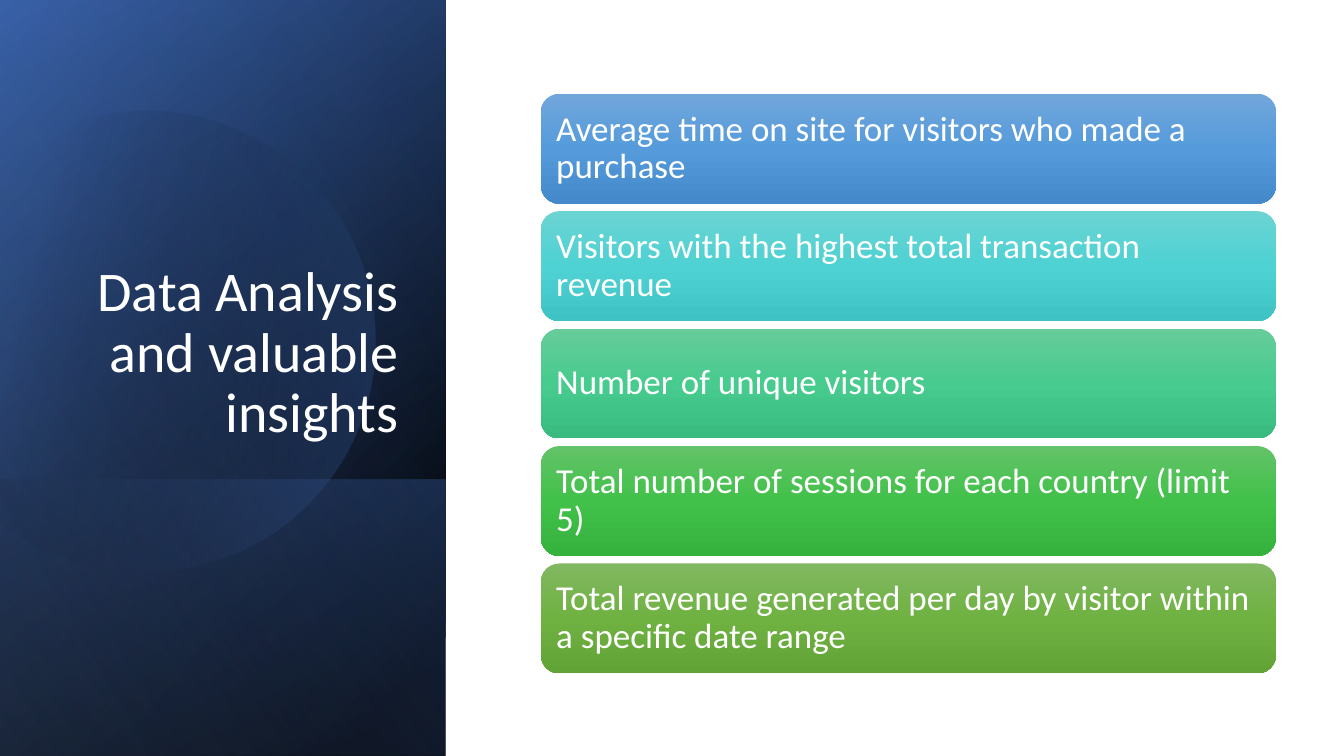
from math import cos, radians, sin

from lxml.etree import SubElement
from pptx import Presentation
from pptx.dml.color import RGBColor
from pptx.enum.shapes import MSO_SHAPE
from pptx.enum.text import MSO_ANCHOR, PP_ALIGN
from pptx.oxml.ns import qn
from pptx.util import Inches, Pt

THEME = {
    "font": "Calibri",
    "text": RGBColor(0xFF, 0xFF, 0xFF),
    "title_size": Pt(40),
    "card_size": Pt(25),
    "black": "000000",
    "navy": "2F5597",
    "blue": "4472C4",
    "pale_blue": "8FAADC",
    "cards": [
        ("71A6DB", "559BDB", "448ACA"),
        ("6CD3D3", "4ED2D3", "3EC2C3"),
        ("67CC9A", "47CB8E", "39BB7F"),
        ("63C368", "42C14A", "34B23D"),
        ("81B861", "6FB242", "62A336"),
    ],
}


def paint_gradient(shape, stops, angle):
    shape.shadow.inherit = False
    shape.line.fill.background()
    shape.fill.gradient()
    gradient = shape._element.spPr.find(qn("a:gradFill"))
    for child in list(gradient):
        gradient.remove(child)
    stop_list = SubElement(gradient, qn("a:gsLst"))
    for position, color, opacity in stops:
        stop = SubElement(stop_list, qn("a:gs"), pos=str(position * 1000))
        color_element = SubElement(stop, qn("a:srgbClr"), val=color)
        if opacity < 100:
            SubElement(color_element, qn("a:alpha"), val=str(opacity * 1000))
    SubElement(gradient, qn("a:lin"), ang=str(angle * 60000), scaled="0")


def write_text(shape, text, size, alignment, anchor):
    frame = shape.text_frame
    frame.word_wrap = True
    frame.vertical_anchor = anchor
    paragraph = frame.paragraphs[0]
    paragraph.alignment = alignment
    paragraph.line_spacing = 0.9
    run = paragraph.add_run()
    run.text = text
    run.font.name = THEME["font"]
    run.font.size = size
    run.font.color.rgb = THEME["text"]


presentation = Presentation()
presentation.slide_width = Inches(13.33)
presentation.slide_height = Inches(7.5)
slide = presentation.slides.add_slide(presentation.slide_layouts[6])

black, blue = THEME["black"], THEME["blue"]
panel_width = 4.42
panel_layers = [
    (0, 7.5, [(8, black, 100), (100, THEME["navy"], 100)], 50),
    (0, 7.5, [(0, black, 0), (99, blue, 46)], 30),
    (4.76, 2.74, [(2, blue, 29), (100, black, 30)], 130),
    (None, None, [(29, black, 0), (100, blue, 43)], 30),
    (0, 7.5, [(0, black, 0), (99, THEME["pale_blue"], 11)], 120),
]
disc_left, disc_top, disc_width, disc_height = -0.55, 1.06, 4.27, 4.57
disc_tilt = 16.1
disc_outline = [
    ("moveTo", [(1.49, 1.1)]),
    ("cubicBezTo", [(2.46, 1.12), (3.35, 1.77), (3.63, 2.75)]),
    ("cubicBezTo", [(3.98, 3.97), (3.28, 5.23), (2.07, 5.58)]),
    ("cubicBezTo", [(1.31, 5.8), (0.53, 5.61), (-0.03, 5.14)]),
    ("lnTo", [(-0.15, 5.03)]),
    ("lnTo", [(-0.15, 1.75)]),
    ("lnTo", [(0, 1.61)]),
    ("cubicBezTo", [(0.23, 1.42), (0.5, 1.28), (0.8, 1.19)]),
    ("cubicBezTo", [(1.03, 1.13), (1.26, 1.1), (1.49, 1.1)]),
]

for top, height, stops, angle in panel_layers:
    if top is None:
        builder = slide.shapes.build_freeform(0, 0)
        builder.add_line_segments([(Inches(disc_width), Inches(disc_height))])
        layer = builder.convert_to_shape(Inches(disc_left), Inches(disc_top))
        layer.rotation = -disc_tilt
        outline = layer._element.spPr.find(".//" + qn("a:path"))
        for child in list(outline):
            outline.remove(child)
        cosine, sine = cos(radians(disc_tilt)), sin(radians(disc_tilt))
        for command, points in disc_outline:
            segment = SubElement(outline, qn("a:" + command))
            for x, y in points:
                across = x - disc_left - disc_width / 2
                down = y - disc_top - disc_height / 2
                SubElement(
                    segment, qn("a:pt"),
                    x=str(Inches(disc_width / 2 + across * cosine - down * sine)),
                    y=str(Inches(disc_height / 2 + across * sine + down * cosine)),
                )
        SubElement(outline, qn("a:close"))
    else:
        layer = slide.shapes.add_shape(
            MSO_SHAPE.RECTANGLE,
            Inches((panel_width - height) / 2),
            Inches(top + (height - panel_width) / 2),
            Inches(height),
            Inches(panel_width),
        )
        layer.rotation = 90
        layer._element.spPr.find(qn("a:xfrm")).set("flipH", "1")
    paint_gradient(layer, stops, angle)

title = slide.shapes.add_textbox(Inches(0.64), Inches(1.84), Inches(3.41), Inches(2.62))
write_text(title, "Data Analysis and valuable insights", THEME["title_size"],
           PP_ALIGN.RIGHT, MSO_ANCHOR.BOTTOM)

insights = [
    "Average time on site for visitors who made a purchase",
    "Visitors with the highest total transaction revenue",
    "Number of unique visitors",
    "Total number of sessions for each country (limit 5)",
    "Total revenue generated per day by visitor within a specific date range",
]
first_top, last_top = 0.93, 5.59
card_pitch = (last_top - first_top) / (len(insights) - 1)

for index, (insight, colors) in enumerate(zip(insights, THEME["cards"])):
    card = slide.shapes.add_shape(
        MSO_SHAPE.ROUNDED_RECTANGLE,
        Inches(5.365), Inches(first_top + index * card_pitch), Inches(7.29), Inches(1.09),
    )
    paint_gradient(card, [(position, color, 100) for position, color in zip((0, 50, 100), colors)], 90)
    card.text_frame.margin_left = card.text_frame.margin_right = Inches(0.1)
    write_text(card, insight, THEME["card_size"], PP_ALIGN.LEFT, MSO_ANCHOR.MIDDLE)

presentation.save("out.pptx")
